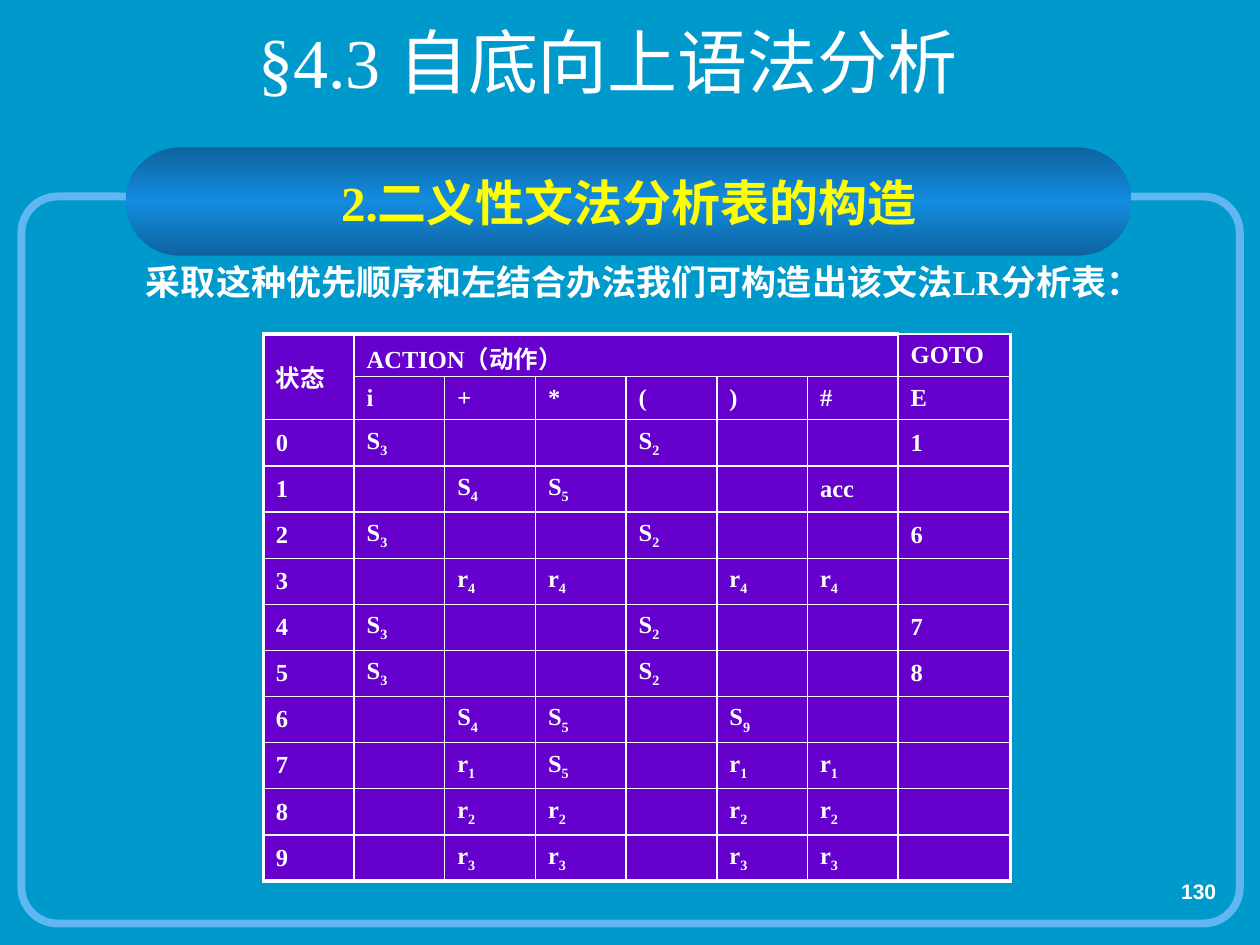
import copy

import pptx
import pptx.dml.color
import pptx.enum.shapes
import pptx.enum.text
import pptx.oxml
import pptx.oxml.ns
import pptx.util
from pptx.util import Inches

RGBColor = pptx.dml.color.RGBColor
Align = pptx.enum.text.PP_ALIGN
Anchor = pptx.enum.text.MSO_ANCHOR
qn = pptx.oxml.ns.qn

TEAL = RGBColor(0x00, 0x99, 0xCC)
WHITE = RGBColor(0xFF, 0xFF, 0xFF)
YELLOW = RGBColor(0xFF, 0xFF, 0x00)
PURPLE = RGBColor(0x66, 0x00, 0xCC)
SKY = RGBColor(0x5F, 0xB6, 0xF1)
DEEP_BLUE = RGBColor(0x0E, 0x64, 0xA0)
BRIGHT_BLUE = RGBColor(0x13, 0x8C, 0xDF)

SERIF = "Times New Roman"
BLANK = "-"
THIN, THICK = 1, 2.25

HEADINGS = ["状态 ACTION（动作） - - - - - GOTO", "- i + * ( ) # E"]
STATES = [
    "0 S3 - - S2 - - 1",
    "1 - S4 S5 - - acc -",
    "2 S3 - - S2 - - 6",
    "3 - r4 r4 - r4 r4 -",
    "4 S3 - - S2 - - 7",
    "5 S3 - - S2 - - 8",
    "6 - S4 S5 - S9 - -",
    "7 - r1 S5 - r1 r1 -",
    "8 - r2 r2 - r2 r2 -",
    "9 - r3 r3 - r3 r3 -",
]


def assign(target, values):
    for name, value in values.items():
        setattr(target, name, value)


class LessonSlide:
    def __init__(self, deck):
        self.slide = deck.slides.add_slide(deck.slide_layouts[6])
        background = self.slide.background.fill
        background.solid()
        background.fore_color.rgb = TEAL

    def styled_run(self, paragraph, text, size, color=WHITE, bold=True, font=SERIF):
        run = paragraph.add_run()
        run.text = text
        assign(run.font, {"name": font, "size": pptx.util.Pt(size), "bold": bold})
        run.font.color.rgb = color
        return run

    def text(self, box, text, size, frame_format, paragraph_format, **style):
        shape = self.slide.shapes.add_textbox(*map(Inches, box))
        self.fill_frame(shape, text, size, frame_format, paragraph_format, **style)

    def fill_frame(self, shape, text, size, frame_format, paragraph_format, **style):
        assign(shape.text_frame, frame_format)
        paragraph = shape.text_frame.paragraphs[0]
        assign(paragraph, paragraph_format)
        self.styled_run(paragraph, text, size, **style)

    def rounded(self, box, corner):
        shape = self.slide.shapes.add_shape(
            pptx.enum.shapes.MSO_SHAPE.ROUNDED_RECTANGLE, *map(Inches, box))
        shape.adjustments[0] = corner
        shape.shadow.inherit = False
        return shape

    def outline(self, box, corner, color, width):
        shape = self.rounded(box, corner)
        shape.fill.background()
        shape.line.color.rgb = color
        shape.line.width = pptx.util.Pt(width)

    def banner(self, box, text, size, color):
        shape = self.rounded(box, 0.5)
        shape.line.fill.background()
        shape.fill.gradient()
        shape.fill.gradient_angle = 90
        stop_list = shape._element.spPr.find(qn("a:gradFill")).find(qn("a:gsLst"))
        stop_list.append(copy.deepcopy(stop_list[0]))
        shades = [DEEP_BLUE, BRIGHT_BLUE, DEEP_BLUE]
        for index, (stop, shade) in enumerate(zip(shape.fill.gradient_stops, shades)):
            stop.position = index / 2
            stop.color.rgb = shade
        self.fill_frame(shape, text, size,
                        {"word_wrap": False, "vertical_anchor": Anchor.MIDDLE},
                        {"alignment": Align.CENTER}, color=color)

    def border(self, cell, widths):
        """Draw the sides L, R, T and B, with widths in points."""
        properties = cell._tc.get_or_add_tcPr()
        for position, (side, width) in enumerate(widths.items()):
            properties.insert(position, pptx.oxml.parse_xml(
                f'<a:ln{side} {pptx.oxml.ns.nsdecls("a")} w="{pptx.util.Pt(width)}">'
                f'<a:solidFill><a:srgbClr val="{WHITE}"/></a:solidFill></a:ln{side}>'))

    def entry(self, cell, text, size):
        """Fill one table entry; an action such as S3 gets its number as a subscript."""
        cell.vertical_anchor = Anchor.MIDDLE
        cell.fill.solid()
        cell.fill.fore_color.rgb = PURPLE
        paragraph = cell.text_frame.paragraphs[0]
        if text == BLANK:
            end = paragraph._p.makeelement(qn("a:endParaRPr"), {"sz": str(size * 100)})
            paragraph._p.append(end)
        elif text[0] in "Sr":
            self.styled_run(paragraph, text[0], size)
            number = self.styled_run(paragraph, text[1:], size)
            number._r.get_or_add_rPr().set("baseline", "-25000")
        else:
            self.styled_run(paragraph, text, size)

    def table(self, box, widths, heights, lines, size):
        last_row, last_column = len(heights) - 1, len(widths) - 1
        table = self.slide.shapes.add_table(
            len(heights), len(widths), *map(Inches, box)).table
        assign(table, {"first_row": False, "horz_banding": False})
        for column, width in zip(table.columns, widths):
            column.width = Inches(width)
        for row, height in zip(table.rows, heights):
            row.height = Inches(height)
        for r, line in enumerate(lines):
            for c, text in enumerate(line.split()):
                cell = table.cell(r, c)
                self.entry(cell, text, size)
                self.border(cell, {
                    "L": THICK if c == 0 else THIN,
                    "R": THICK if c == last_column else THIN,
                    "T": THICK if r == 0 and c < last_column else THIN,
                    "B": THICK if r == last_row else THIN,
                })
        table.cell(0, 0).merge(table.cell(1, 0))
        table.cell(0, 1).merge(table.cell(0, last_column - 1))


def main():
    deck = pptx.Presentation()
    assign(deck, {"slide_width": Inches(10), "slide_height": Inches(7.5)})
    lesson = LessonSlide(deck)
    lesson.text((7.67, 6.92, 2.08, 0.42), "130", 12,
                {"word_wrap": True}, {"alignment": Align.RIGHT}, font="Arial")
    lesson.text((1.06, 2.02, 8.35, 0.43),
                "采取这种优先顺序和左结合办法我们可构造出该文法LR分析表：", 20,
                {"word_wrap": True}, {"alignment": Align.JUSTIFY})
    lesson.table((2.09, 2.65, 5.91, 4.06), [0.72] * 7 + [0.89],
                 [0.34, 0.34, 0.37] + [0.34] * 9, HEADINGS + STATES, 14)
    lesson.outline((0.17, 1.56, 9.67, 5.77), 0.05, SKY, 4.5)
    lesson.banner((1, 1.17, 7.98, 0.86), "2.二义性文法分析表的构造", 28, YELLOW)
    lesson.text((1.81, 0.28, 6.03, 0.53), "§4.3 自底向上语法分析", 40,
                {"word_wrap": False, "margin_top": 0, "margin_bottom": 0},
                {"alignment": Align.CENTER, "line_spacing": 0.8}, bold=False)
    deck.save("out.pptx")


if __name__ == "__main__":
    main()
